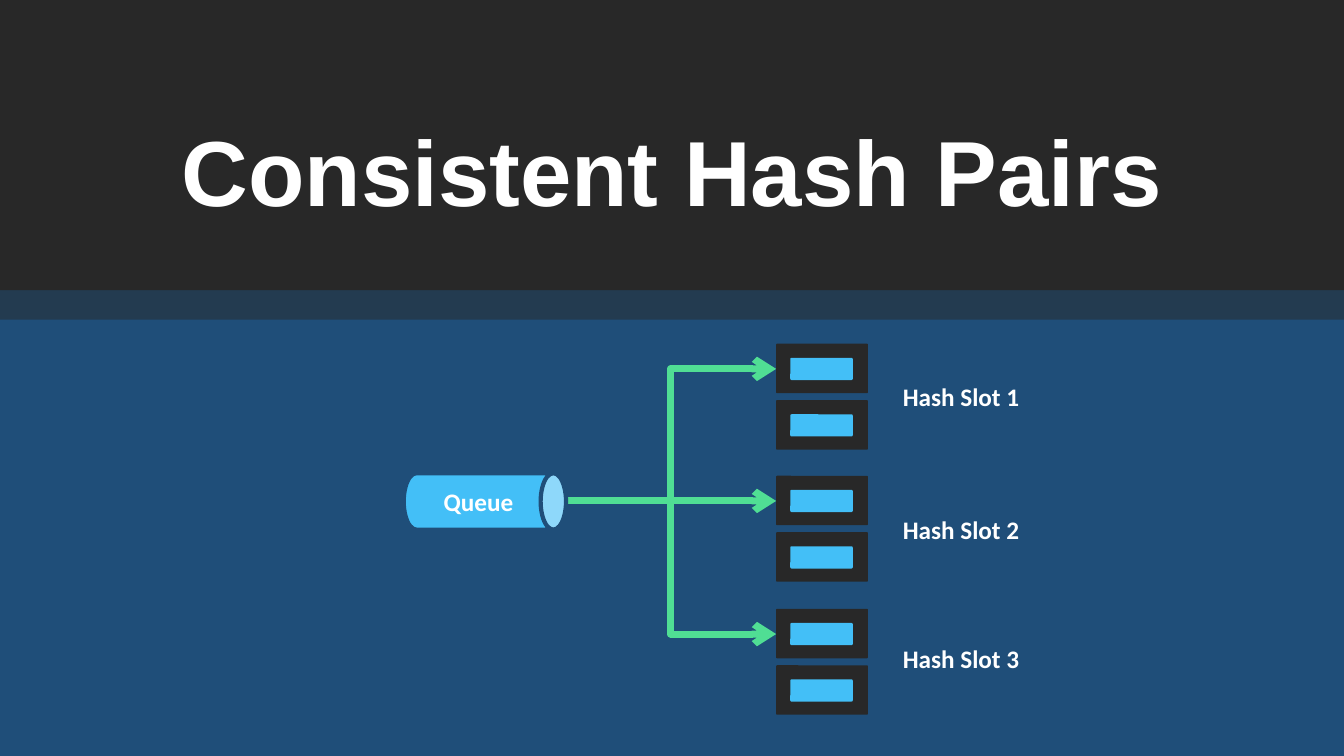
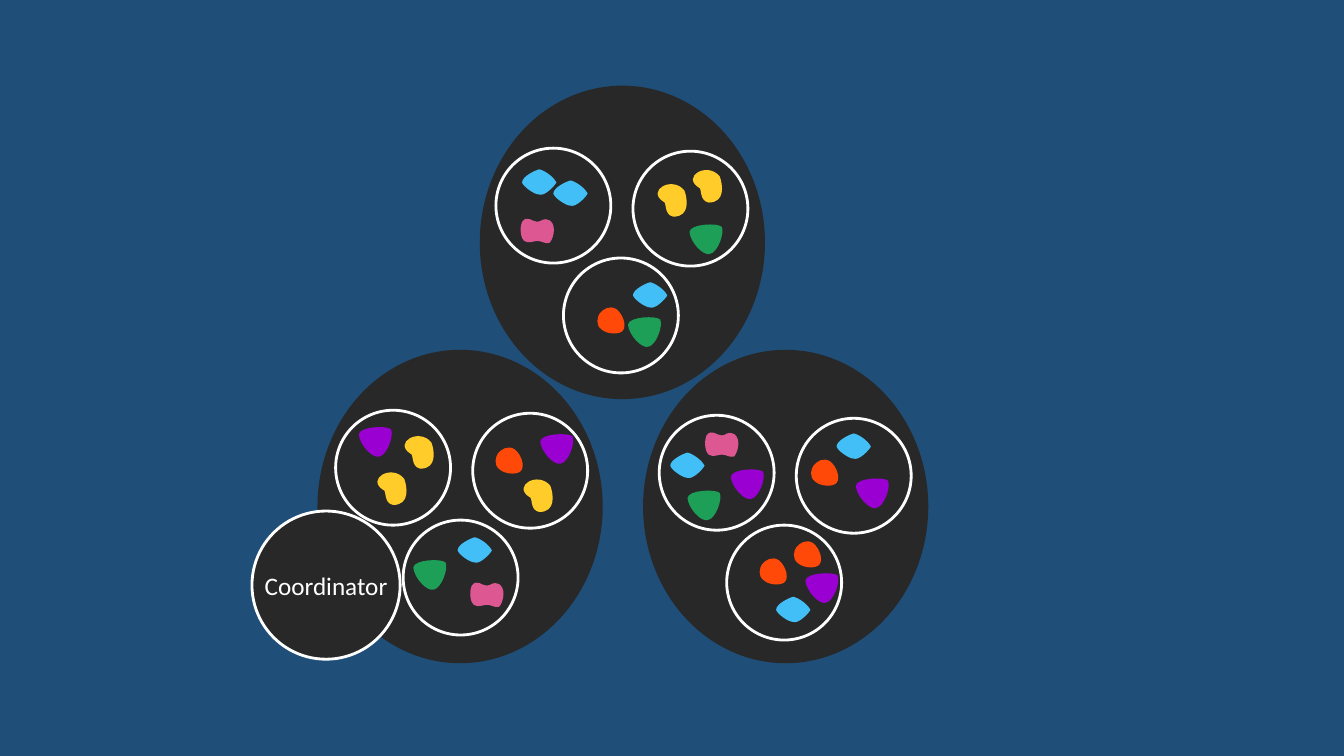
from lxml import etree
from pptx import Presentation
from pptx.dml.color import RGBColor
from pptx.enum.shapes import MSO_CONNECTOR, MSO_SHAPE
from pptx.enum.text import MSO_ANCHOR, MSO_AUTO_SIZE, PP_ALIGN
from pptx.oxml.ns import qn
from pptx.util import Emu, Pt

RECT, ROUND_RECT = MSO_SHAPE.RECTANGLE, MSO_SHAPE.ROUNDED_RECTANGLE
OVAL, CAN = MSO_SHAPE.OVAL, MSO_SHAPE.CAN
ELBOW = MSO_CONNECTOR.ELBOW
MIDDLE = MSO_ANCHOR.MIDDLE
CENTER = PP_ALIGN.CENTER
GROW = MSO_AUTO_SIZE.SHAPE_TO_FIT_TEXT

EMU_PER_PX = 9144  # 100 px to the inch
SLIDE_WIDTH, SLIDE_HEIGHT = 1333.33, 750

NAVY, SLATE, CHARCOAL, WHITE = "1F4E79", "233B50", "282828", "FFFFFF"
BLUE, MINT, YELLOW, RED = "43BFF7", "50DE94", "FFCC29", "FF4909"
GREEN, PURPLE, PINK = "1D9F58", "9B00D2", "DD5893"
TITLE_FONT, BODY_FONT = "Arial", "Calibri"

# Outlines around their centre: cubic curves, the last one ending at the start.
LEAF = [((-17, -6), (-4, -12), (0, -13)),
        ((5, -12), (14, -6), (17, 0)),
        ((15, 4), (5, 14), (0, 12)),
        ((-5, 12), (-16, 4), (-17, 0))]
BEAN = [((-28, -8), (-2, -23), (10, -8)),
        ((13, 0), (16, 18), (-1, 18)),
        ((-11, 16), (-7, 3), (-11, 3))]
PEBBLE = [((-9, -11), (-2, -16), (5, -11)),
          ((11, -6), (15, 5), (11, 10)),
          ((8, 14), (-4, 14), (-10, 9)),
          ((-17, 4), (-14, -4), (-12, -7))]
SHIELD = [((18, -6), (11, 14), (3, 15)),
          ((-3, 17), (-16, 4), (-17, -7)),
          ((-16, -15), (11, -16), (15, -12))]
SPOOL = [((-4, 10), (-8, 13), (-13, 10)),
         ((-16, 8), (-18, -2), (-15, -9)),
         ((-10, -16), (-5, -9), (0, -9)),
         ((5, -9), (5, -14), (13, -10)),
         ((20, -4), (15, 10), (12, 12)),
         ((7, 13), (5, 10), (0, 10))]

# Outline, colour and the centres where it appears.
TOKENS = [
    (LEAF, BLUE, [(645, 293), (535, 181), (566, 192), (682, 462),
                  (847, 443), (471, 546), (787, 605)]),
    (BEAN, YELLOW, [(418, 447), (391, 483), (669, 197), (704, 183),
                    (536, 490)]),
    (PEBBLE, RED, [(819, 469), (768, 567), (607, 318), (506, 457),
                   (802, 550)]),
    (SHIELD, GREEN, [(640, 329), (701, 237), (699, 501), (427, 570)]),
    (SHIELD, PURPLE, [(816, 583), (373, 438), (553, 445), (742, 480),
                      (866, 489)]),
    (SPOOL, PINK, [(716, 441), (533, 229), (483, 590)]),
]

# Corner of each cluster, and of its first ring.
CLUSTERS = [((638, 347), (654, 412)),
            ((315, 347), (333, 407)),
            ((476, 85), (492, 147))]
RING_OFFSETS = [(0, 0), (136, 3), (67, 109)]
RING_SIZE = 114

# Name, top of the pair, top of the label.
HASH_SLOTS = [("Hash Slot 1", 341, 366),
              ("Hash Slot 2", 472, 498),
              ("Hash Slot 3", 604, 626)]


def px(length):
    return Emu(round(length * EMU_PER_PX))


def rgb(color):
    return RGBColor.from_string(color)


def paint(shape, fill=None, line=None, line_width=2):
    shape.shadow.inherit = False
    if fill:
        shape.fill.solid()
        shape.fill.fore_color.rgb = rgb(fill)
    else:
        shape.fill.background()
    if line:
        shape.line.color.rgb = rgb(line)
        shape.line.width = Pt(line_width)
    else:
        shape.line.fill.background()


def add_figure(page, kind, left, top, width, height, fill=None, line=None,
               line_width=2, adjustment=None):
    shape = page.shapes.add_shape(kind, px(left), px(top), px(width), px(height))
    if adjustment is not None:
        shape.adjustments[0] = adjustment
    paint(shape, fill, line, line_width)
    return shape


def write(frame, text, size=18, font=BODY_FONT, bold=False):
    """Put one centred white run into a text frame and return the run."""
    para = frame.paragraphs[0]
    para.alignment = CENTER
    span = para.add_run()
    span.text = text
    span.font.size = Pt(size)
    span.font.name = font
    span.font.bold = bold
    span.font.color.rgb = rgb(WHITE)
    return span


def add_text_box(page, left, top, width, height):
    frame = page.shapes.add_textbox(px(left), px(top), px(width), px(height)).text_frame
    frame.word_wrap = True
    return frame


def add_text_shadow(span):
    fill = span.font._element.find(qn("a:solidFill"))
    effects = etree.Element(qn("a:effectLst"))
    shadow = etree.SubElement(effects, qn("a:outerShdw"), dist="50800",
                              dir="2700000", algn="tl", rotWithShape="0")
    etree.SubElement(shadow, qn("a:srgbClr"), val="000000")
    fill.addnext(effects)


def add_title_band(page, text):
    add_figure(page, RECT, 0, 288, SLIDE_WIDTH, 29, SLATE)
    add_figure(page, RECT, 0, 0, SLIDE_WIDTH, 288, CHARCOAL)
    frame = add_text_box(page, 0, 108, SLIDE_WIDTH, 115)
    frame.auto_size = GROW
    add_text_shadow(write(frame, text, 66, TITLE_FONT, bold=True))


def add_elbow_arrow(page, start, end):
    arrow = page.shapes.add_connector(ELBOW, *map(px, start + end))
    arrow.line.color.rgb = rgb(MINT)
    arrow.line.width = Pt(5)
    etree.SubElement(arrow.line._get_or_add_ln(), qn("a:tailEnd"), type="arrow")
    etree.SubElement(arrow._element.spPr, qn("a:effectLst"))


def add_server(page, left, top):
    add_figure(page, ROUND_RECT, left, top, 91, 49, CHARCOAL, adjustment=0.02)
    add_figure(page, ROUND_RECT, left + 14, top + 14, 62, 22, BLUE, adjustment=0.06)


def add_queue(page):
    queue = add_figure(page, CAN, 453, 417, 56, 161, BLUE, NAVY, 3, 0.45)
    queue.rotation = 90
    frame = queue.text_frame
    frame.vertical_anchor = MIDDLE
    frame._txBody.bodyPr.set("vert", "vert270")
    write(frame, "Queue", bold=True)


def add_token(page, outline, color, center):
    """Draw a closed freeform whose straight segments are bent into curves."""
    curves = [[tuple(px(c + p) for c, p in zip(center, point)) for point in curve]
              for curve in outline]
    ends = [curve[-1] for curve in curves]
    builder = page.shapes.build_freeform(*ends[-1], scale=1.0)
    builder.add_line_segments(ends)
    token = builder.convert_to_shape()
    paint(token, color)
    segments = list(token._element.iter(qn("a:lnTo")))
    for segment, curve in zip(segments, curves):
        bend = etree.Element(qn("a:cubicBezTo"))
        for x, y in curve:
            etree.SubElement(bend, qn("a:pt"), x=str(x - token.left), y=str(y - token.top))
        segment.getparent().replace(segment, bend)


def add_page(deck):
    return deck.slides.add_slide(deck.slide_layouts[6])


def build_hash_pairs(deck):
    page = add_page(deck)
    add_title_band(page, "Consistent Hash Pairs")
    for name, top, label_top in HASH_SLOTS:
        for server_top in (top, top + 56):
            add_server(page, 770, server_top)
        add_elbow_arrow(page, (561, 497), (770, top + 25))
        label = add_text_box(page, 876, label_top, 155, 55)
        label.vertical_anchor = MIDDLE
        write(label, name, bold=True)
    add_queue(page)


def build_clusters(deck):
    page = add_page(deck)
    for (left, top), _ in CLUSTERS:
        add_figure(page, OVAL, left, top, 283, 311, CHARCOAL)
    for outline, color, centers in TOKENS:
        for center in centers:
            add_token(page, outline, color, center)
    for _, (left, top) in CLUSTERS:
        for dx, dy in RING_OFFSETS:
            add_figure(page, OVAL, left + dx, top + dy, RING_SIZE, RING_SIZE, line=WHITE)
    coordinator = add_figure(page, OVAL, 250, 507, 147, 147, CHARCOAL, WHITE)
    frame = coordinator.text_frame
    frame.word_wrap = False
    frame.vertical_anchor = MIDDLE
    write(frame, "Coordinator")


def main():
    deck = Presentation()
    deck.slide_width, deck.slide_height = px(SLIDE_WIDTH), px(SLIDE_HEIGHT)
    backdrop = deck.slide_master.background.fill
    backdrop.solid()
    backdrop.fore_color.rgb = rgb(NAVY)
    build_hash_pairs(deck)
    build_clusters(deck)
    deck.save("out.pptx")


if __name__ == "__main__":
    main()
